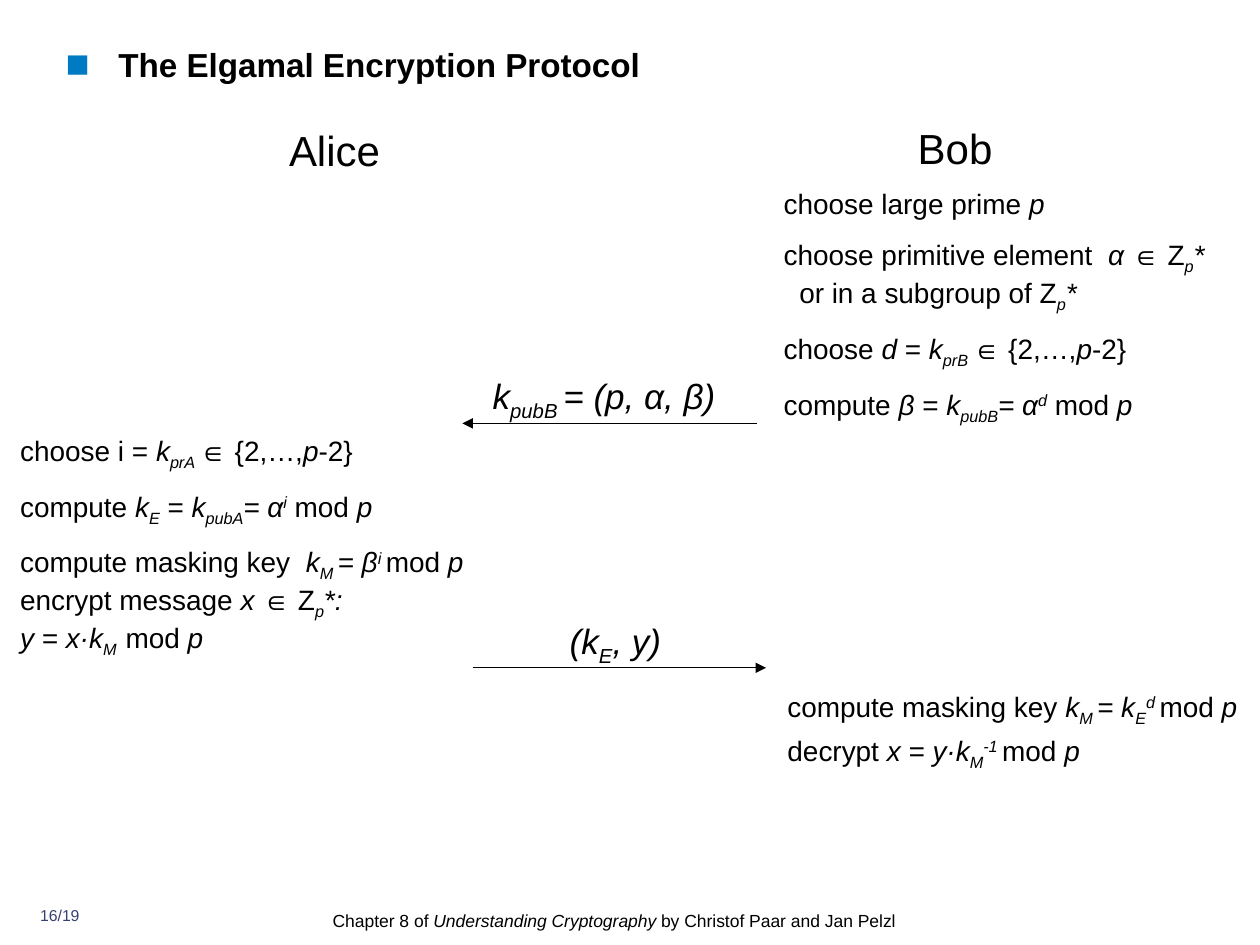
from lxml import etree
from pptx import Presentation
from pptx.dml.color import RGBColor
from pptx.enum.shapes import MSO_CONNECTOR
from pptx.enum.text import MSO_ANCHOR, MSO_AUTO_SIZE, PP_ALIGN
from pptx.oxml.ns import qn
from pptx.util import Inches, Pt

LEFT, CENTER = PP_ALIGN.LEFT, PP_ALIGN.CENTER
TOP, NO_AUTOFIT = MSO_ANCHOR.TOP, MSO_AUTO_SIZE.NONE
STRAIGHT = MSO_CONNECTOR.STRAIGHT
BLACK, BLUE, NAVY = "000000", "007AC2", "394073"

# Run styles: (italic, baseline shift in thousandths of a percent)
PLAIN, ITALIC = (False, 0), (True, 0)
SUB, SUPER = (True, -25000), (True, 30000)


def color(hex_string):
    return RGBColor.from_string(hex_string)


def fill_text(shape, box, paragraphs, size, space_before=0, align=LEFT,
              line_spacing=None, ink=BLACK, bold=False):
    shape.left, shape.top, shape.width, shape.height = map(Inches, box)
    frame = shape.text_frame
    frame.word_wrap = True
    frame.auto_size = NO_AUTOFIT
    frame.vertical_anchor = TOP
    frame.margin_left = frame.margin_right = frame.margin_top = frame.margin_bottom = 0
    for index, runs in enumerate(paragraphs):
        paragraph = frame.add_paragraph() if index else frame.paragraphs[0]
        paragraph.alignment = align
        paragraph.space_before = Pt(space_before)
        if line_spacing:
            paragraph.line_spacing = line_spacing
        for text, (italic, baseline) in runs:
            for line_number, line in enumerate(text.split("\n")):
                if line_number:
                    paragraph.add_line_break()
                run = paragraph.add_run()
                run.text = line
                font = run.font
                font.name, font.size = "Arial", Pt(size)
                font.bold, font.italic = bold, italic
                font.color.rgb = color(ink)
                if baseline:
                    font._element.set("baseline", str(baseline))


presentation = Presentation()
presentation.slide_width, presentation.slide_height = Inches(10), Inches(7.5)
slide = presentation.slides.add_slide(presentation.slide_layouts[5])

# Title with a square bullet
title = slide.shapes.title
fill_text(title, (0.52, 0.35, 9.02, 0.66),
          [[("The Elgamal Encryption Protocol", PLAIN)]], 19, 4.8, bold=True)
properties = title.text_frame.paragraphs[0]._p.get_or_add_pPr()
properties.set("marL", str(Inches(0.42)))
properties.set("indent", str(-Inches(0.42)))
bullet_color = etree.SubElement(properties, qn("a:buClr"))
etree.SubElement(bullet_color, qn("a:srgbClr"), val=BLUE)
etree.SubElement(properties, qn("a:buSzPct"), val="120000")
etree.SubElement(properties, qn("a:buFont"), typeface="Arial")
etree.SubElement(properties, qn("a:buChar"), char="■")

# Names of the two parties
for name, box in [("Alice", (0.31, 1.03, 4.69, 0.36)), ("Bob", (5.16, 1.02, 4.84, 0.36))]:
    fill_text(slide.shapes.add_textbox(0, 0, 0, 0), box, [[(name, PLAIN)]],
              24, 7.5, CENTER, 0.9)

# Protocol steps
bob_setup = [
    [("choose large prime ", PLAIN), ("p", ITALIC)],
    [("choose primitive element  ", PLAIN), ("α ", ITALIC), ("∈ Z", PLAIN), ("p", SUB),
     ("*\n  ", ITALIC), ("or in a subgroup of Z", PLAIN), ("p", SUB), ("*", ITALIC)],
    [("choose ", PLAIN), ("d", ITALIC), (" = ", PLAIN), ("k", ITALIC), ("prB ", SUB),
     ("∈ {2,…,", PLAIN), ("p", ITALIC), ("-2}", PLAIN)],
    [("compute ", PLAIN), ("β", ITALIC), (" = ", PLAIN), ("k", ITALIC), ("pubB", SUB),
     ("= α", ITALIC), ("d", SUPER), (" mod ", PLAIN), ("p", ITALIC)],
]
alice_keys = [
    [("choose i = ", PLAIN), ("k", ITALIC), ("prA ", SUB), ("∈ {2,…,", PLAIN),
     ("p", ITALIC), ("-2}", PLAIN)],
    [("compute ", PLAIN), ("k", ITALIC), ("E", SUB), (" = ", PLAIN), ("k", ITALIC),
     ("pubA", SUB), ("= α", ITALIC), ("i", SUPER), (" mod ", PLAIN), ("p", ITALIC)],
    [("compute masking key  ", PLAIN), ("k", ITALIC), ("M ", SUB), ("= β", ITALIC),
     ("i ", SUPER), ("mod ", PLAIN), ("p", ITALIC)],
]
alice_encryption = [
    [("encrypt message ", PLAIN), ("x ", ITALIC), ("∈ Z", PLAIN), ("p", SUB),
     ("*:\ny = x·k", ITALIC), ("M  ", SUB), ("mod ", PLAIN), ("p", ITALIC)],
]
bob_masking_key = [
    [("compute masking key ", PLAIN), ("k", ITALIC), ("M ", SUB), ("= k", ITALIC),
     ("E", SUB), ("d ", SUPER), ("mod ", PLAIN), ("p", ITALIC)],
]
bob_decryption = [
    [("decrypt ", PLAIN), ("x = y·k", ITALIC), ("M", SUB), ("-1 ", SUPER),
     ("mod ", PLAIN), ("p", ITALIC)],
]
for box, steps in [
    ((6.22, 1.48, 3.62, 1.9), bob_setup),
    ((0.16, 3.44, 3.59, 1.19), alice_keys),
    ((0.16, 4.62, 3.54, 0.61), alice_encryption),
    ((6.25, 5.47, 3.83, 0.3), bob_masking_key),
    ((6.25, 5.82, 3.54, 0.3), bob_decryption),
]:
    fill_text(slide.shapes.add_textbox(0, 0, 0, 0), box, steps, 16, 10)

# Messages, each above its arrow
public_key = [("k", ITALIC), ("pubB ", SUB), ("= (p, α, β)", ITALIC)]
ciphertext = [("(k", ITALIC), ("E", SUB), (", y)", ITALIC)]
for message, box, align, start, end, y in [
    (public_key, (3.91, 2.97, 2.19, 0.38), LEFT, 6.01, 3.67, 3.36),
    (ciphertext, (4.22, 4.92, 1.33, 0.38), CENTER, 3.75, 6.08, 5.3),
]:
    fill_text(slide.shapes.add_textbox(0, 0, 0, 0), box, [message], 20, 12.5, align)
    arrow = slide.shapes.add_connector(STRAIGHT, Inches(start), Inches(y),
                                       Inches(end), Inches(y))
    arrow.line.color.rgb = color(BLACK)
    arrow.line.width = Pt(0.75)
    etree.SubElement(arrow.line._get_or_add_ln(), qn("a:tailEnd"), type="triangle")
    etree.SubElement(arrow._element.spPr, qn("a:effectLst"))

# Page number and footer
fill_text(slide.shapes.add_textbox(0, 0, 0, 0), (0.2, 7.19, 0.55, 0.24),
          [[("16/19", PLAIN)]], 9, align=CENTER, ink=NAVY)
fill_text(slide.shapes.add_textbox(0, 0, 0, 0), (2.64, 7.19, 4.73, 0.28),
          [[("Chapter 8 of ", PLAIN), ("Understanding Cryptography", ITALIC),
            (" by Christof Paar and Jan Pelzl", PLAIN)]], 10, line_spacing=1.2)

presentation.save("out.pptx")
